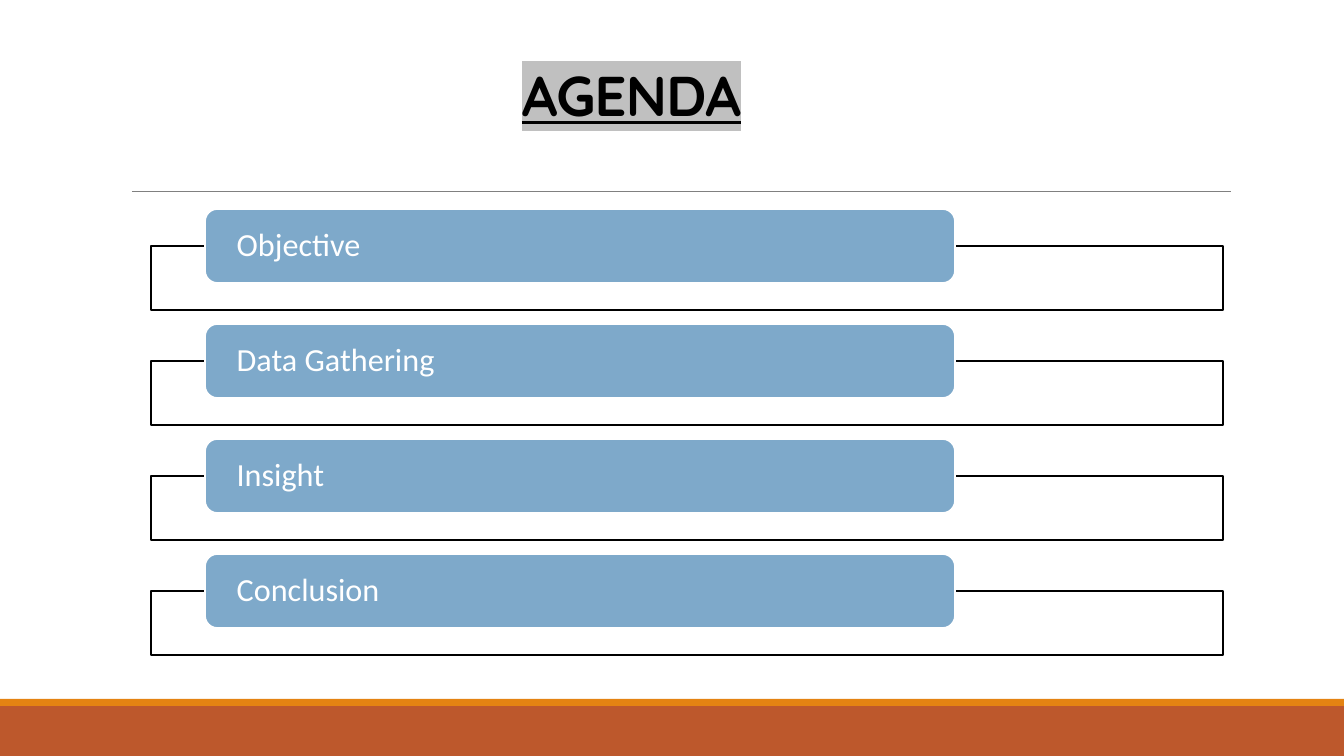
from lxml.etree import SubElement
from pptx import Presentation
from pptx.dml.color import RGBColor
from pptx.enum.shapes import MSO_CONNECTOR, MSO_SHAPE
from pptx.enum.text import MSO_ANCHOR, PP_ALIGN
from pptx.oxml.ns import qn
from pptx.util import Pt

# Content
TITLE = "AGENDA"
TOPICS = ["Objective", "Data Gathering", "Insight", "Conclusion"]

COLORS = {
    "white": "FFFFFF", "black": "000000", "rule": "808080", "highlight": "C0C0C0",
    "footer": "BD582C", "stripe": "E48312", "pill": "7EA9CA",
}

# Layout in px
SLIDE_WIDTH, SLIDE_HEIGHT = 1344, 756
EMU_PER_PX = 914400 / 100.8
FOOTER_TOP, STRIPE_TOP = 706, 699
TITLE_BOX = (151, 23, 961, 107)
RULE_LEFT, RULE_RIGHT, RULE_TOP = 132, 1231, 191
FRAME_LEFT, FRAME_WIDTH, FRAME_HEIGHT = 151, 1072, 64
PILL_LEFT, PILL_WIDTH, PILL_HEIGHT = 205, 750, 74
FIRST_TOP, TOPIC_PITCH = 209, 115


def px(length):
    return round(length * EMU_PER_PX)


def rgb(name):
    return RGBColor.from_string(COLORS[name])


def add_box(page, bounds, fill, line=None, preset=MSO_SHAPE.RECTANGLE, opacity=None):
    box = page.shapes.add_shape(preset, *map(px, bounds))
    box.shadow.inherit = False
    box.fill.solid()
    box.fill.fore_color.rgb = rgb(fill)
    if opacity:
        color = box._element.spPr.find(qn("a:solidFill"))[0]
        SubElement(color, qn("a:alpha"), val=str(opacity * 1000))
    if line:
        box.line.color.rgb = rgb(line)
        box.line.width = Pt(1.25)
    else:
        box.line.fill.background()
    return box


def write(box, text, *, size, font, color, align=PP_ALIGN.LEFT, anchor=MSO_ANCHOR.MIDDLE,
          spacing=0.9, side=0, bottom=0, bold=False, underline=False,
          tracking=None, highlight=None):
    frame = box.text_frame
    frame.word_wrap = True
    frame.vertical_anchor = anchor
    frame.margin_left = frame.margin_right = px(side)
    frame.margin_top, frame.margin_bottom = 0, px(bottom)
    para = frame.paragraphs[0]
    para.alignment = align
    para.line_spacing = spacing
    span = para.add_run()
    span.text = text
    span.font.size = Pt(size)
    span.font.name = font
    span.font.bold = bold
    span.font.underline = underline
    span.font.color.rgb = rgb(color)
    properties = span.font._element
    if tracking:
        properties.set("spc", str(round(tracking * 100)))
    if highlight:
        mark = SubElement(properties, qn("a:highlight"))
        SubElement(mark, qn("a:srgbClr"), val=COLORS[highlight])
        properties.find(qn("a:solidFill")).addnext(mark)


def add_rule(page):
    rule = page.shapes.add_connector(
        MSO_CONNECTOR.STRAIGHT, px(RULE_LEFT), px(RULE_TOP), px(RULE_RIGHT), px(RULE_TOP))
    rule.line.color.rgb = rgb("rule")
    rule.line.width = Pt(0.5)
    SubElement(rule._element.spPr, qn("a:effectLst"))


def main():
    deck = Presentation()
    deck.slide_width, deck.slide_height = px(SLIDE_WIDTH), px(SLIDE_HEIGHT)
    page = deck.slides.add_slide(deck.slide_layouts[6])

    # Footer bands and rule
    add_box(page, (0, FOOTER_TOP, SLIDE_WIDTH, SLIDE_HEIGHT - FOOTER_TOP), "footer")
    add_box(page, (0, STRIPE_TOP, SLIDE_WIDTH, FOOTER_TOP - STRIPE_TOP), "stripe")
    add_rule(page)

    # Title
    title = page.shapes.add_textbox(*map(px, TITLE_BOX))
    write(title, TITLE, size=40, font="Quicksand", color="black", align=PP_ALIGN.CENTER,
          anchor=MSO_ANCHOR.BOTTOM, spacing=0.85, side=10, bottom=2, bold=True,
          underline=True, tracking=-0.5, highlight="highlight")

    # Topics: each pill overlaps the top edge of its frame
    for index, topic in enumerate(TOPICS):
        top = FIRST_TOP + index * TOPIC_PITCH
        add_box(page, (FRAME_LEFT, top + PILL_HEIGHT // 2, FRAME_WIDTH, FRAME_HEIGHT),
                "white", line="black", opacity=90)
        pill = add_box(page, (PILL_LEFT, top, PILL_WIDTH, PILL_HEIGHT), "pill",
                       line="white", preset=MSO_SHAPE.ROUNDED_RECTANGLE)
        write(pill, topic, size=23, font="Calibri", color="white", side=28)

    deck.save("out.pptx")


if __name__ == "__main__":
    main()
